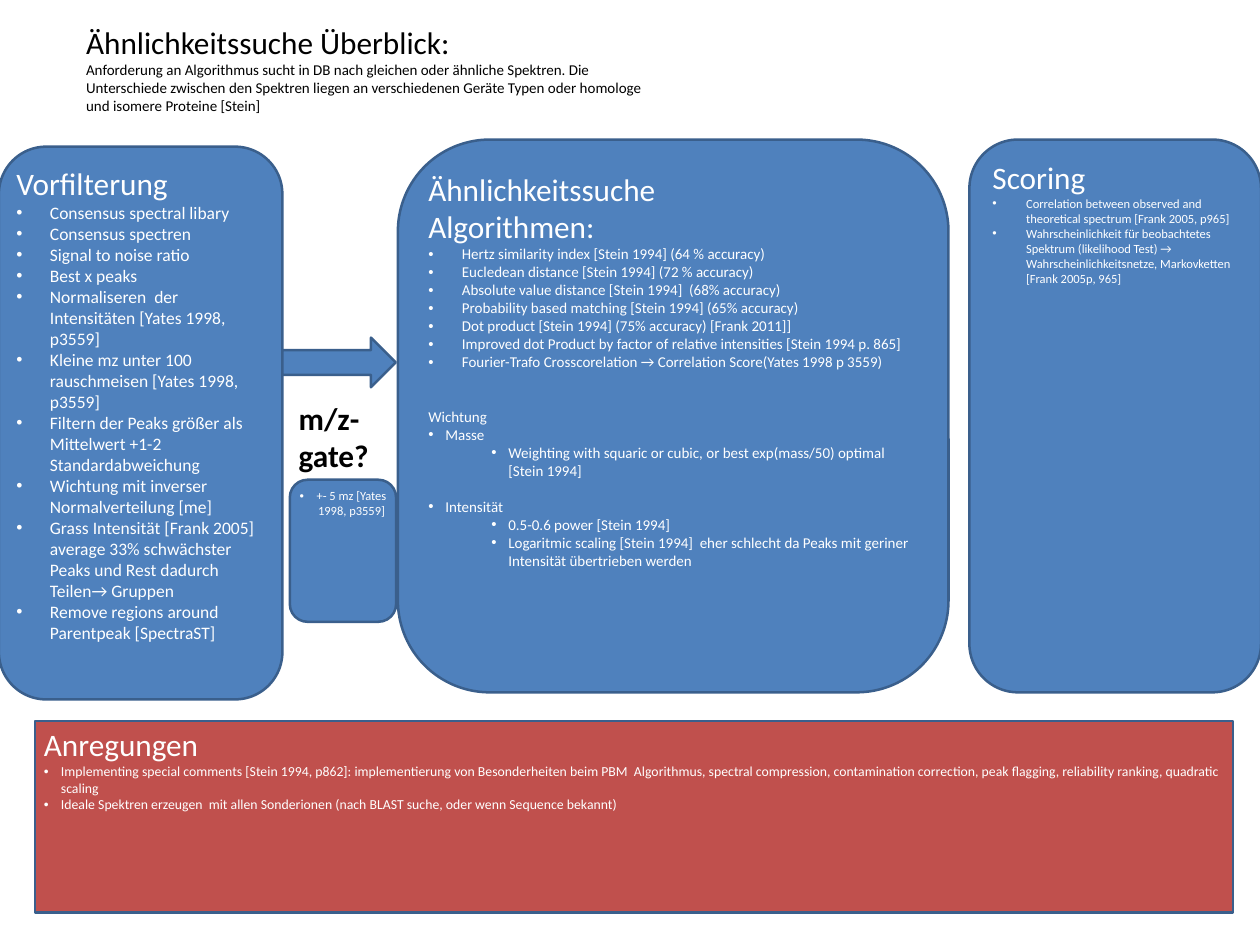
from dataclasses import dataclass
from lxml.etree import SubElement
from pptx import Presentation
from pptx.dml.color import RGBColor
from pptx.enum.shapes import MSO_SHAPE
from pptx.enum.text import MSO_ANCHOR, MSO_AUTO_SIZE, PP_ALIGN
from pptx.oxml.ns import qn
from pptx.util import Cm, Pt


@dataclass(frozen=True)
class Theme:
    font: str = "Calibri"
    blue: str = "4F81BD"
    red: str = "C0504D"
    edge: str = "3A5F8C"
    dark: str = "000000"
    light: str = "FFFFFF"
    head: int = 25
    line: int = 2


THEME = Theme()

# Each text row: style, words, and optionally the space before it in points
TITLE = [
    ("head", "Ähnlichkeitssuche Überblick:"),
    ("plain", "Anforderung an Algorithmus sucht in DB nach gleichen oder ähnliche "
     "Spektren. Die Unterschiede zwischen den Spektren liegen an verschiedenen "
     "Geräte Typen oder homologe und isomere Proteine [Stein]"),
]
SEARCH = [
    ("head", "Ähnlichkeitssuche"),
    ("head", "Algorithmen:"),
    ("list", "Hertz similarity index [Stein 1994] (64 % accuracy)"),
    ("list", "Eucledean distance [Stein 1994] (72 % accuracy)"),
    ("list", "Absolute value distance [Stein 1994]  (68% accuracy)"),
    ("list", "Probability based matching [Stein 1994] (65% accuracy)"),
    ("list", "Dot product [Stein 1994] (75% accuracy) [Frank 2011]]"),
    ("list", "Improved dot Product by factor of relative intensities [Stein 1994 p. 865]"),
    ("list", "Fourier-Trafo Crosscorelation → Correlation Score(Yates 1998 p 3559)"),
    ("plain", "Wichtung", 29),
    ("dot", "Masse"),
    ("sub", "Weighting with squaric or cubic, or best exp(mass/50) optimal [Stein 1994]"),
    ("dot", "Intensität", 14.5),
    ("sub", "0.5-0.6 power [Stein 1994]"),
    ("sub", "Logaritmic scaling [Stein 1994]  eher schlecht da Peaks mit geriner "
     "Intensität übertrieben werden"),
]
SCORE = [
    ("head", "Scoring"),
    ("list", "Correlation between observed and theoretical spectrum [Frank 2005, p965]"),
    ("list", "Wahrscheinlichkeit für beobachtetes Spektrum (likelihood Test) → "
     "Wahrscheinlichkeitsnetze, Markovketten [Frank 2005p, 965]"),
]
FILTER = [
    ("head", "Vorfilterung"),
    ("list", "Consensus spectral libary"),
    ("list", "Consensus spectren"),
    ("list", "Signal to noise ratio"),
    ("list", "Best x peaks"),
    ("list", "Normaliseren  der Intensitäten [Yates 1998, p3559]"),
    ("list", "Kleine mz unter 100 rauschmeisen [Yates 1998, p3559]"),
    ("list", "Filtern der Peaks größer als Mittelwert +1-2 Standardabweichung"),
    ("list", "Wichtung mit inverser Normalverteilung [me]"),
    ("list", "Grass Intensität [Frank 2005] average 33% schwächster Peaks und Rest "
     "dadurch Teilen→ Gruppen"),
    ("list", "Remove regions around Parentpeak [SpectraST]"),
]
IDEAS = [
    ("head", "Anregungen"),
    ("dot", "Implementing special comments [Stein 1994, p862]: implementierung von "
     "Besonderheiten beim PBM  Algorithmus, spectral compression, contamination "
     "correction, peak flagging, reliability ranking, quadratic scaling"),
    ("dot", "Ideale Spektren erzeugen  mit allen Sonderionen (nach BLAST suche, "
     "oder wenn Sequence bekannt)"),
]
ASK = [("bold", "m/z-gate?")]
GATE = [("mid", "+- 5 mz [Yates 1998, p3559]")]

# Style: left margin in cm, hanging indent in cm, outline level
STYLES = {
    "head": (0, 0, 0), "bold": (0, 0, 0), "plain": (0, 0, 0),
    "list": (0.95, 0.95, 0), "dot": (0.48, 0.48, 0),
    "sub": (2.26, 0.48, 1), "mid": (0.48, 0.48, 0),
}

# Columns and rows in cm
TOP, TALL = 3.94, 15.6
GATE_X, GATE_W = 8.18, 3
ROUND, RECT, ARROW = MSO_SHAPE.ROUNDED_RECTANGLE, MSO_SHAPE.RECTANGLE, MSO_SHAPE.RIGHT_ARROW
WIDE, SLIM = (0.25, 0.13), (0.1, 0.1)

# Shape, place, fill, rows, body size, insets
BOXES = [
    (ROUND, (11.23, TOP, 15.54, TALL), THEME.blue, SEARCH, 12, SLIM),
    (ROUND, (27.36, TOP, 8.23, TALL), THEME.blue, SCORE, 10, WIDE),
    (ROUND, (-0.03, TOP + 0.2, 8, TALL), THEME.blue, FILTER, 14, SLIM),
    (RECT, (0.99, 20.35, 33.81, 5.41), THEME.red, IDEAS, 11, WIDE),
    (ARROW, (7.97, 9.53, 3.2, 1.4), THEME.blue, [], 12, WIDE),
    (ROUND, (GATE_X, 13.54, GATE_W, 4.01), THEME.blue, GATE, 10, SLIM),
]


def write(frame, rows, size, ink, inset=WIDE):
    frame.word_wrap = True
    frame.auto_size = MSO_AUTO_SIZE.NONE
    frame.vertical_anchor = MSO_ANCHOR.TOP
    frame.margin_left = frame.margin_right = Cm(inset[0])
    frame.margin_top = frame.margin_bottom = Cm(inset[1])
    for i, (style, words, *gap) in enumerate(rows):
        para = frame.paragraphs[0] if i == 0 else frame.add_paragraph()
        left, hang, level = STYLES[style]
        para.level = level
        para.alignment = PP_ALIGN.CENTER if style == "mid" else PP_ALIGN.LEFT
        para.space_before = Pt(gap[0] if gap else 0)
        if hang:
            props = para._p.get_or_add_pPr()
            props.set("marL", str(Cm(left)))
            props.set("indent", str(-Cm(hang)))
            SubElement(props, qn("a:buFont"), typeface="Arial")
            SubElement(props, qn("a:buChar"), char="•")
        run = para.add_run()
        run.text = words
        font = run.font
        font.name = THEME.font
        font.size = Pt(THEME.head if style in ("head", "bold") else size)
        font.bold = style == "bold"
        font.color.rgb = RGBColor.from_string(ink)


def draw(slide, kind, place, fill, rows, size, inset):
    shape = slide.shapes.add_shape(kind, *map(Cm, place))
    shape.shadow.inherit = False
    shape.fill.solid()
    shape.fill.fore_color.rgb = RGBColor.from_string(fill)
    shape.line.color.rgb = RGBColor.from_string(THEME.edge)
    shape.line.width = Pt(THEME.line)
    write(shape.text_frame, rows, size, THEME.light, inset)


def main():
    deck = Presentation()
    deck.slide_width, deck.slide_height = Cm(35.56), Cm(26.67)
    slide = deck.slides.add_slide(deck.slide_layouts[5])

    title = slide.shapes.title
    title.left, title.top, title.width, title.height = map(Cm, (2.18, 0.53, 16.41, 2.87))
    write(title.text_frame, TITLE, 12, THEME.dark)

    for box in BOXES:
        draw(slide, *box)

    ask = slide.shapes.add_textbox(*map(Cm, (GATE_X, 11.13, 2.8, 2.39)))
    write(ask.text_frame, ASK, THEME.head, THEME.dark)

    deck.save("out.pptx")


if __name__ == "__main__":
    main()
